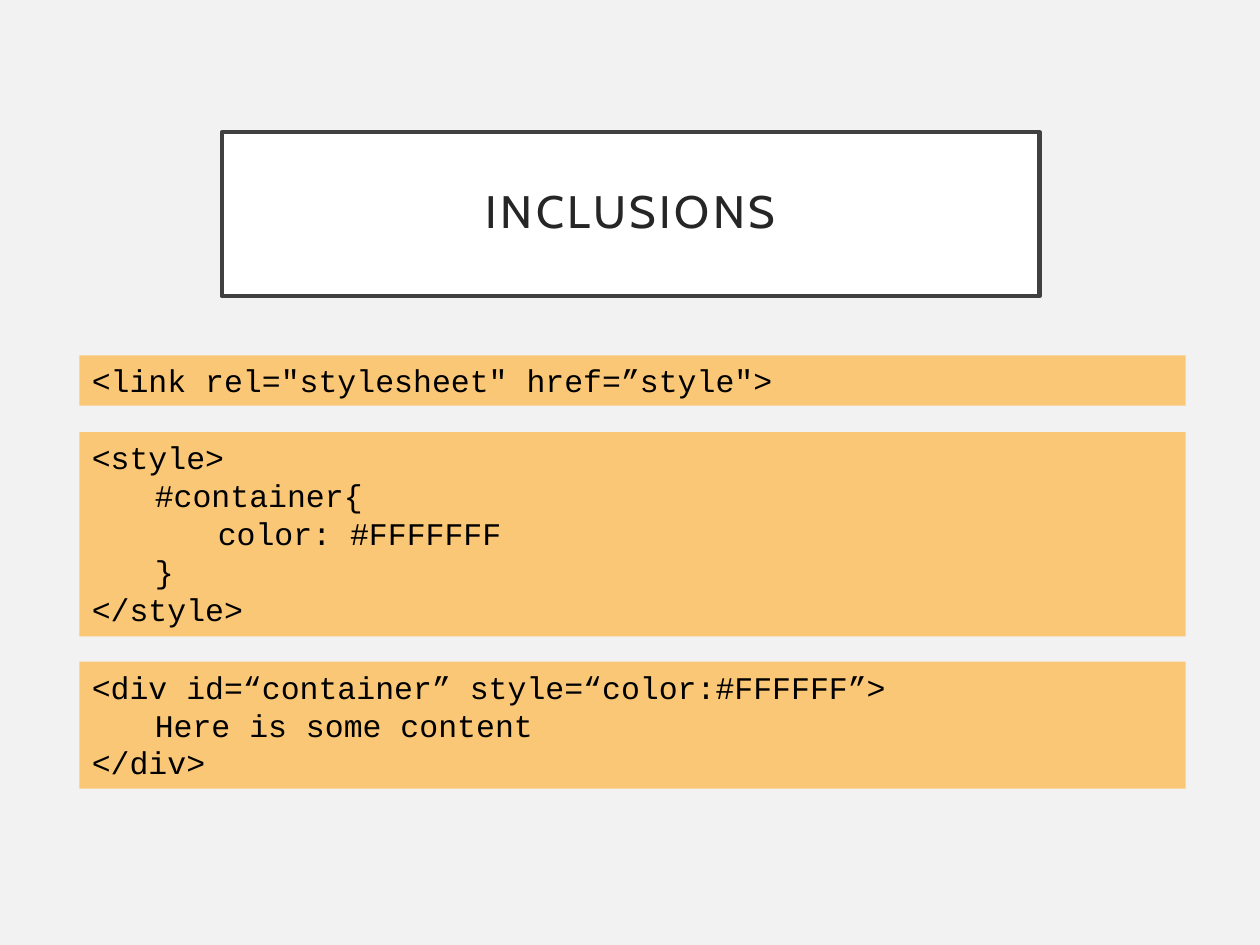
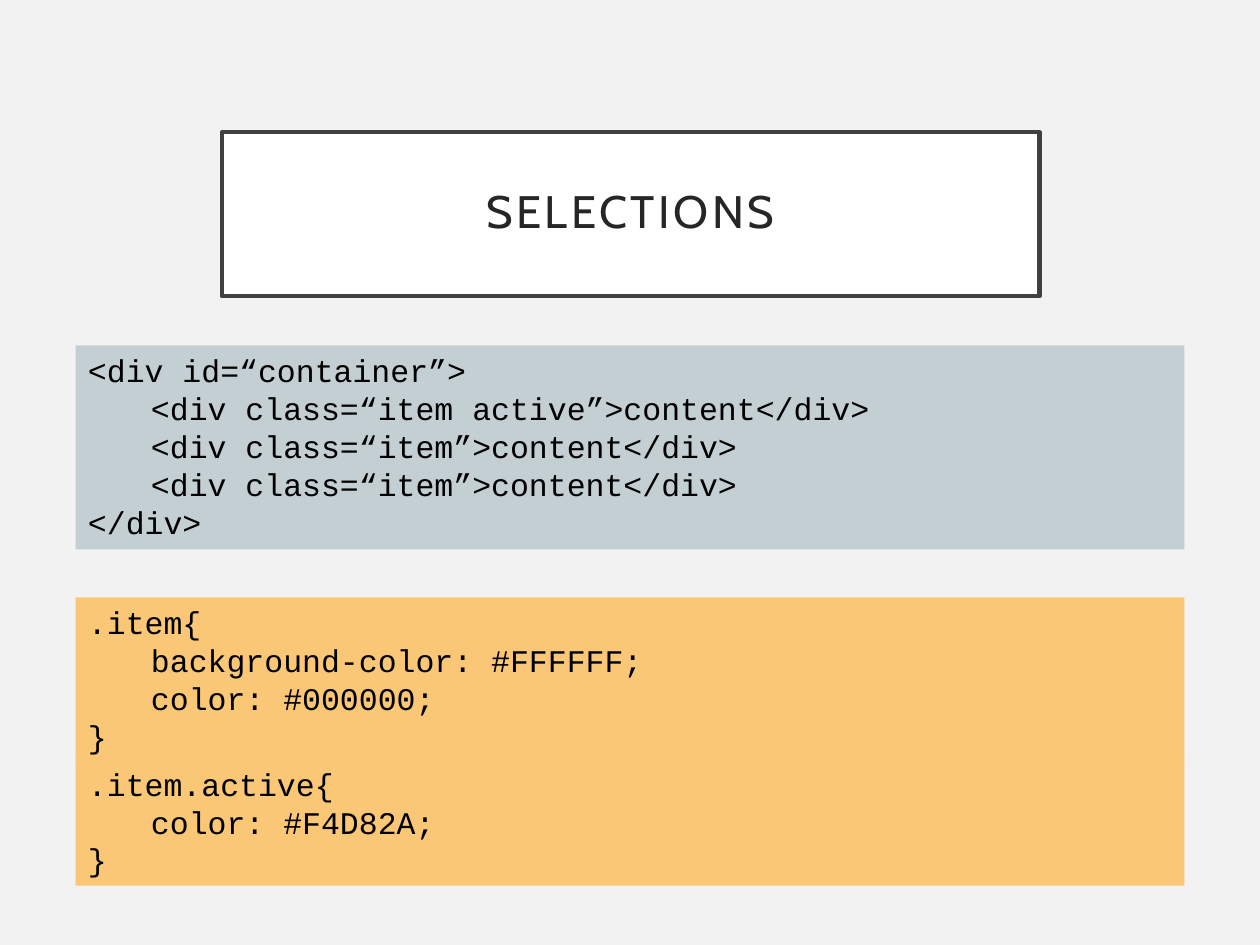
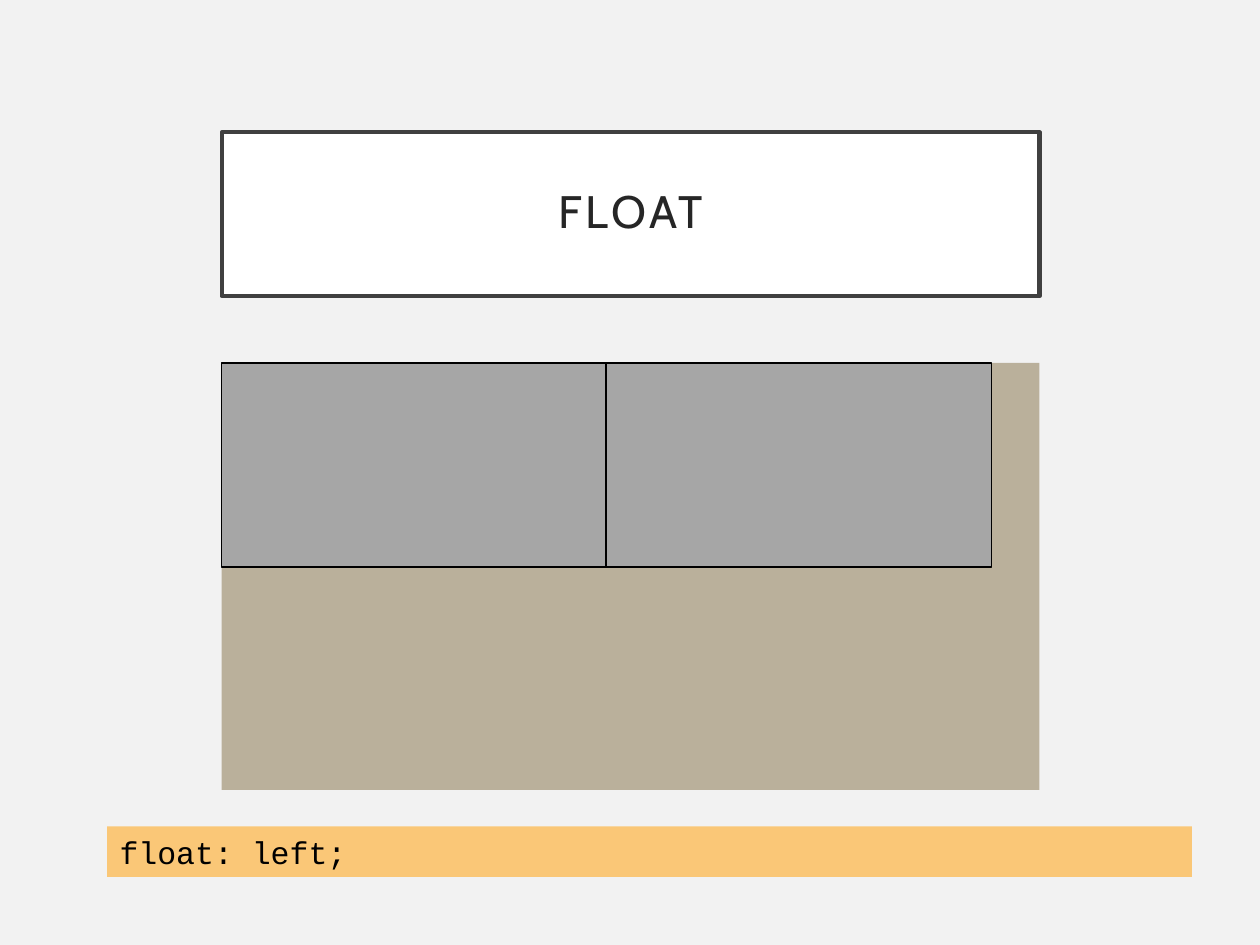
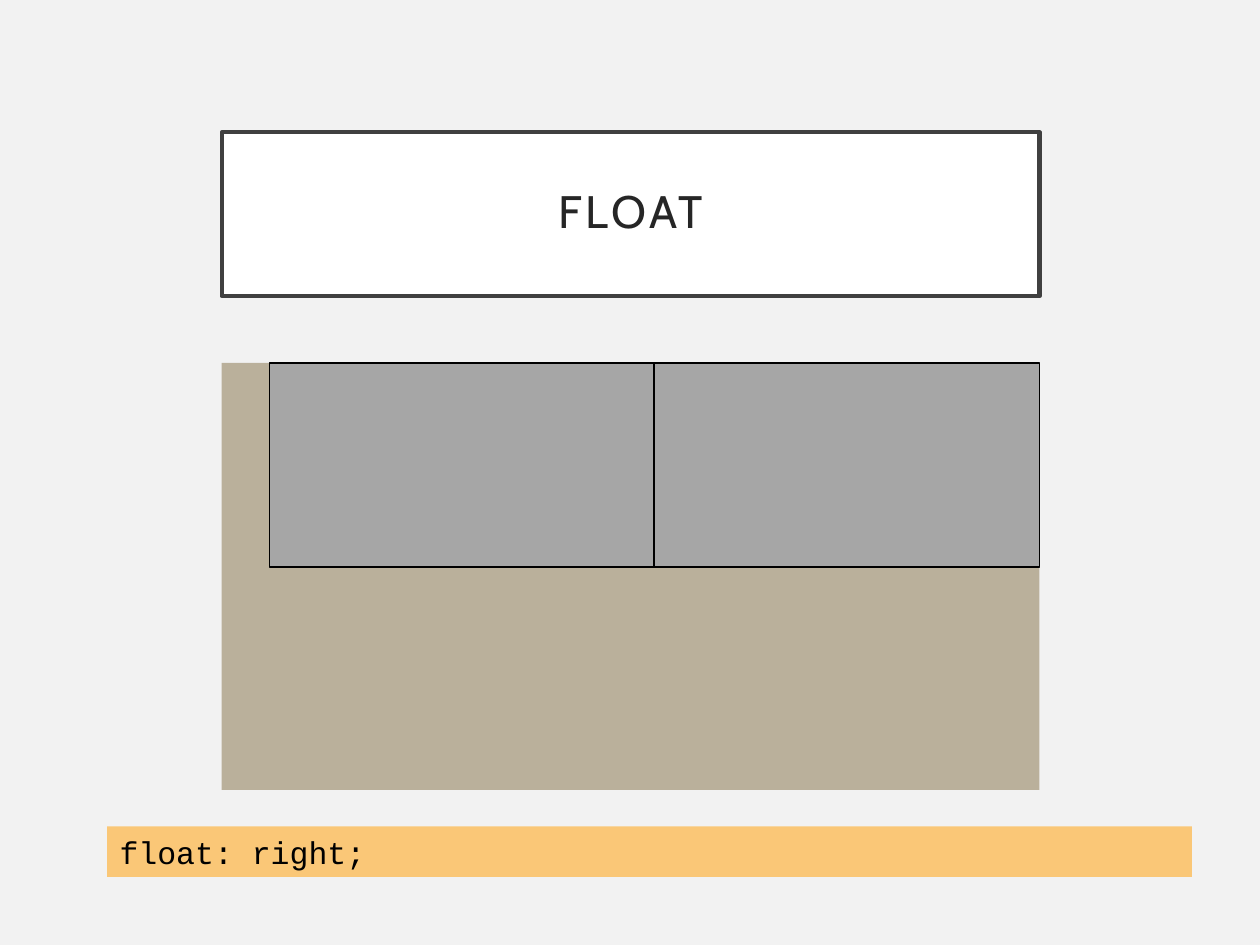
from pptx import Presentation
from pptx.dml.color import RGBColor
from pptx.enum.shapes import MSO_SHAPE as Preset
from pptx.enum.text import MSO_ANCHOR as Anchor, MSO_AUTO_SIZE as AutoSize, PP_ALIGN as Align
from pptx.util import Pt

PX = 9144  # EMU per px, 100 px to the inch
PAPER, WHITE, BLACK = "F2F2F2", "FFFFFF", "000000"
ORANGE, BLUE_GREY, SAND, GREY = "FAC777", "C3CFD3", "BAB09B", "A6A6A6"
FRAME, TITLE_INK = "404040", "262626"
TITLE_BOX = (176, 105, 649, 130)
CONTAINER_BOX = (176, 288, 649, 339)
FLOAT_CODE_BOX = (85, 656, 861, 40)
INDENT = 50
TITLE_ONLY = 5


def color(value):
    return RGBColor.from_string(value)


def emu(box):
    return [length * PX for length in box]


def apply(target, formats):
    for name, value in formats.items():
        setattr(target, name, value)


def paint(shape, fill, line=None, width=0.75):
    shape.fill.solid()
    shape.fill.fore_color.rgb = color(fill)
    if line:
        shape.line.color.rgb = color(line)
        shape.line.width = Pt(width)
    else:
        shape.line.fill.background()


def style_font(font, name, size, ink):
    apply(font, {"name": name, "size": Pt(size), "bold": False})
    font.color.rgb = color(ink)


def add_titled_slide(presentation, text):
    """Add a slide with its title in a framed white box."""
    slide = presentation.slides.add_slide(presentation.slide_layouts[TITLE_ONLY])
    title = slide.shapes.title
    apply(title, dict(zip(("left", "top", "width", "height"), emu(TITLE_BOX))))
    paint(title, WHITE, FRAME, 2.5)
    frame = title.text_frame
    apply(frame, {"auto_size": AutoSize.NONE, "word_wrap": True,
                  "vertical_anchor": Anchor.MIDDLE})
    apply(frame, {f"margin_{side}": 20 * PX for side in ("left", "top", "right", "bottom")})
    paragraph = frame.paragraphs[0]
    apply(paragraph, {"alignment": Align.CENTER, "line_spacing": 0.9})
    run = paragraph.add_run()
    run.text = text
    style_font(run.font, "Cabin", 26, TITLE_INK)
    run.font._element.set("spc", "200")  # letter spacing
    return slide


def add_code(slide, box, lines, fill=ORANGE):
    """Add a code box; each line is a pair of indent depth and text."""
    shape = slide.shapes.add_textbox(*emu(box))
    paint(shape, fill)
    frame = shape.text_frame
    apply(frame, {"word_wrap": True, "auto_size": AutoSize.SHAPE_TO_FIT_TEXT})
    for index, (depth, text) in enumerate(lines):
        paragraph = frame.add_paragraph() if index else frame.paragraphs[0]
        if depth:
            properties = paragraph._p.get_or_add_pPr()
            properties.set("marL", str(depth * INDENT * PX))
            properties.set("indent", "0")
        run = paragraph.add_run()
        run.text = text
        style_font(run.font, "Courier New", 18, BLACK)


def add_rectangle(slide, box, fill, line=None):
    shape = slide.shapes.add_shape(Preset.RECTANGLE, *emu(box))
    shape.shadow.inherit = False
    paint(shape, fill, line)


def add_floats(slide, box, side):
    """Add a container with two items pushed to one side."""
    left, top, width, height = box
    item_width, item_height, step = 306, 162, 305
    offset = width - step - item_width if side == "right" else 0
    add_rectangle(slide, box, SAND)
    for index in range(2):
        item_left = left + offset + index * step
        add_rectangle(slide, (item_left, top, item_width, item_height), GREY, BLACK)


def build_inclusions(presentation):
    slide = add_titled_slide(presentation, "INCLUSIONS")
    left, width = 63, 878
    add_code(slide, (left, 282, width, 40), [(0, '<link rel="stylesheet" href=”style">')])
    add_code(slide, (left, 343, width, 162), [
        (0, "<style>"),
        (1, "#container{"),
        (2, "color: #FFFFFFF"),
        (1, "}"),
        (0, "</style>"),
    ])
    add_code(slide, (left, 525, width, 101), [
        (0, "<div id=“container” style=“color:#FFFFFF”>"),
        (1, "Here is some content"),
        (0, "</div>"),
    ])


def build_selections(presentation):
    slide = add_titled_slide(presentation, "SELECTIONS")
    left, width = 60, 880
    add_code(slide, (left, 274, width, 162), [
        (0, "<div id=“container”>"),
        (1, "<div class=“item active”>content</div>"),
        (1, "<div class=“item”>content</div>"),
        (1, "<div class=“item”>content</div>"),
        (0, "</div>"),
    ], BLUE_GREY)
    add_code(slide, (left, 474, width, 131), [
        (0, ".item{"),
        (1, "background-color: #FFFFFF;"),
        (1, "color: #000000;"),
        (0, "}"),
    ])
    add_code(slide, (left, 602, width, 101), [
        (0, ".item.active{"),
        (1, "color: #F4D82A;"),
        (0, "}"),
    ])


def build_float(presentation, side):
    slide = add_titled_slide(presentation, "FLOAT")
    add_floats(slide, CONTAINER_BOX, side)
    add_code(slide, FLOAT_CODE_BOX, [(0, f"float: {side};")])


def main():
    presentation = Presentation()
    apply(presentation, {"slide_width": 1000 * PX, "slide_height": 750 * PX})
    background = presentation.slide_master.background.fill
    background.solid()
    background.fore_color.rgb = color(PAPER)
    build_inclusions(presentation)
    build_selections(presentation)
    for side in ("left", "right"):
        build_float(presentation, side)
    presentation.save("out.pptx")


if __name__ == "__main__":
    main()
